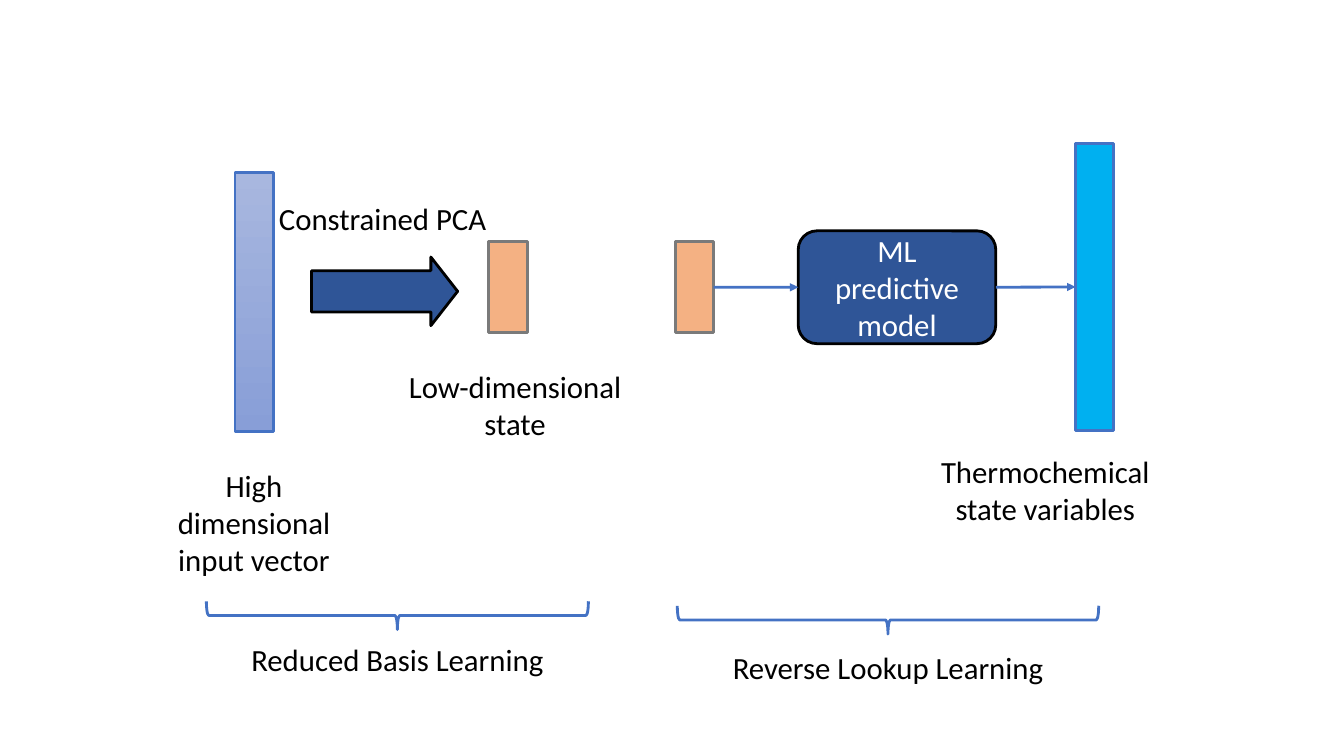
from dataclasses import dataclass

from lxml import etree
from pptx import Presentation
from pptx.dml.color import RGBColor
from pptx.enum.shapes import MSO_CONNECTOR, MSO_SHAPE
from pptx.enum.text import MSO_ANCHOR, PP_ALIGN
from pptx.oxml.ns import qn
from pptx.util import Pt

RECT = MSO_SHAPE.RECTANGLE
ROUND_RECT = MSO_SHAPE.ROUNDED_RECTANGLE
RIGHT_ARROW = MSO_SHAPE.RIGHT_ARROW
LEFT_BRACE = MSO_SHAPE.LEFT_BRACE
STRAIGHT = MSO_CONNECTOR.STRAIGHT
LEFT, CENTER = PP_ALIGN.LEFT, PP_ALIGN.CENTER
TOP, MIDDLE = MSO_ANCHOR.TOP, MSO_ANCHOR.MIDDLE
SIDE_LEFT, SIDE_RIGHT = 1, 3


@dataclass(frozen=True)
class Theme:
    font: str = "Calibri"
    size: float = 22
    line_width: float = 2
    text: str = "000000"
    light: str = "FFFFFF"
    outline: str = "000000"
    accent: str = "4472C4"
    dark: str = "2F5597"
    state: str = "F4B183"
    state_line: str = "7A7A7A"
    output: str = "00B0F0"
    input: tuple = ("A8B7DF", "889ED7")


THEME = Theme()
BAR_W = 27.4
STATE_H = 64.8
LABEL_W = 168.5
BRACE_DEPTH = 20.2


def rgb(value):
    return RGBColor.from_string(value)


def write(tf, text, color=THEME.text, align=CENTER, anchor=TOP, wrap=True):
    tf.word_wrap = wrap
    tf.vertical_anchor = anchor
    p = tf.paragraphs[0]
    p.alignment = align
    r = p.add_run()
    r.text = text
    r.font.name = THEME.font
    r.font.size = Pt(THEME.size)
    r.font.color.rgb = rgb(color)


def add_label(s, x, y, w, h, text, **fmt):
    box = s.shapes.add_textbox(Pt(x), Pt(y), Pt(w), Pt(h))
    write(box.text_frame, text, **fmt)


def add_block(s, kind, x, y, w, h, fill=None, line=THEME.accent):
    sp = s.shapes.add_shape(kind, Pt(x), Pt(y), Pt(w), Pt(h))
    sp.shadow.inherit = False
    if fill is None:
        sp.fill.background()
    elif isinstance(fill, tuple):
        sp.fill.gradient()
        sp.fill.gradient_angle = 270
        for stop, color in zip(sp.fill.gradient_stops, fill):
            stop.color.rgb = rgb(color)
    else:
        sp.fill.solid()
        sp.fill.fore_color.rgb = rgb(fill)
    sp.line.color.rgb = rgb(line)
    sp.line.width = Pt(THEME.line_width)
    return sp


def add_state(s, x, y):
    return add_block(s, RECT, x, y, BAR_W, STATE_H, THEME.state, THEME.state_line)


def add_flow(s, start, end):
    cx = s.shapes.add_connector(STRAIGHT, 0, 0, 0, 0)
    cx.begin_connect(start, SIDE_RIGHT)
    cx.end_connect(end, SIDE_LEFT)
    cx.line.color.rgb = rgb(THEME.accent)
    cx.line.width = Pt(THEME.line_width)
    etree.SubElement(cx.line._get_or_add_ln(), qn("a:tailEnd"), type="triangle")
    etree.SubElement(cx._element.spPr, qn("a:effectLst"))


def add_caption(s, x, y, w, text, gap):
    brace = add_block(s, LEFT_BRACE, x + (w - BRACE_DEPTH) / 2,
                      y - w / 2, BRACE_DEPTH, w)
    brace.rotation = 270
    add_label(s, x, y + gap, w, 34, text)


def add_reduced_basis(s, x, y):
    add_block(s, RECT, x + 71.8, y + 23.1, BAR_W, 185, THEME.input)
    add_label(s, x + 1.2, y + 229.8, LABEL_W, 87, "High dimensional input vector")
    arrow = add_block(s, RIGHT_ARROW, x + 126.5, y + 83.6, 104.4, 49,
                      THEME.dark, THEME.outline)
    arrow.adjustments[0] = 0.6
    arrow.adjustments[1] = 0.39
    add_label(s, x + 96.2, y + 39, 164.2, 60.5, "Constrained PCA",
              align=LEFT, wrap=False)
    add_state(s, x + 253.2, y + 72.8)
    add_label(s, x + 187.7, y + 159.2, LABEL_W, 60.5, "Low-dimensional state")
    add_caption(s, x + 51.4, y + 339.6, 272.9, "Reduced Basis Learning", 14.7)


def add_reverse_lookup(s, x, y):
    state = add_state(s, x + 2.4, y + 72.8)
    model = add_block(s, ROUND_RECT, x + 90.2, y + 64.9, 141.1, 80.6,
                      THEME.dark, THEME.outline)
    write(model.text_frame, "ML predictive model", color=THEME.light, anchor=MIDDLE)
    output = add_block(s, RECT, x + 288.2, y + 2.4, BAR_W, 205.2, THEME.output)
    add_label(s, x + 182.4, y + 219.7, LABEL_W, 60.5, "Thermochemical state variables")
    add_flow(s, state, model)
    add_flow(s, model, output)
    add_caption(s, x + 3.8, y + 342.8, 301, "Reverse Lookup Learning", 17.3)


def main():
    prs = Presentation()
    prs.slide_width, prs.slide_height = Pt(960), Pt(540)
    s = prs.slides.add_slide(prs.slide_layouts[6])
    add_reduced_basis(s, 96, 100)
    add_reverse_lookup(s, 480, 100)
    prs.save("out.pptx")


if __name__ == "__main__":
    main()
